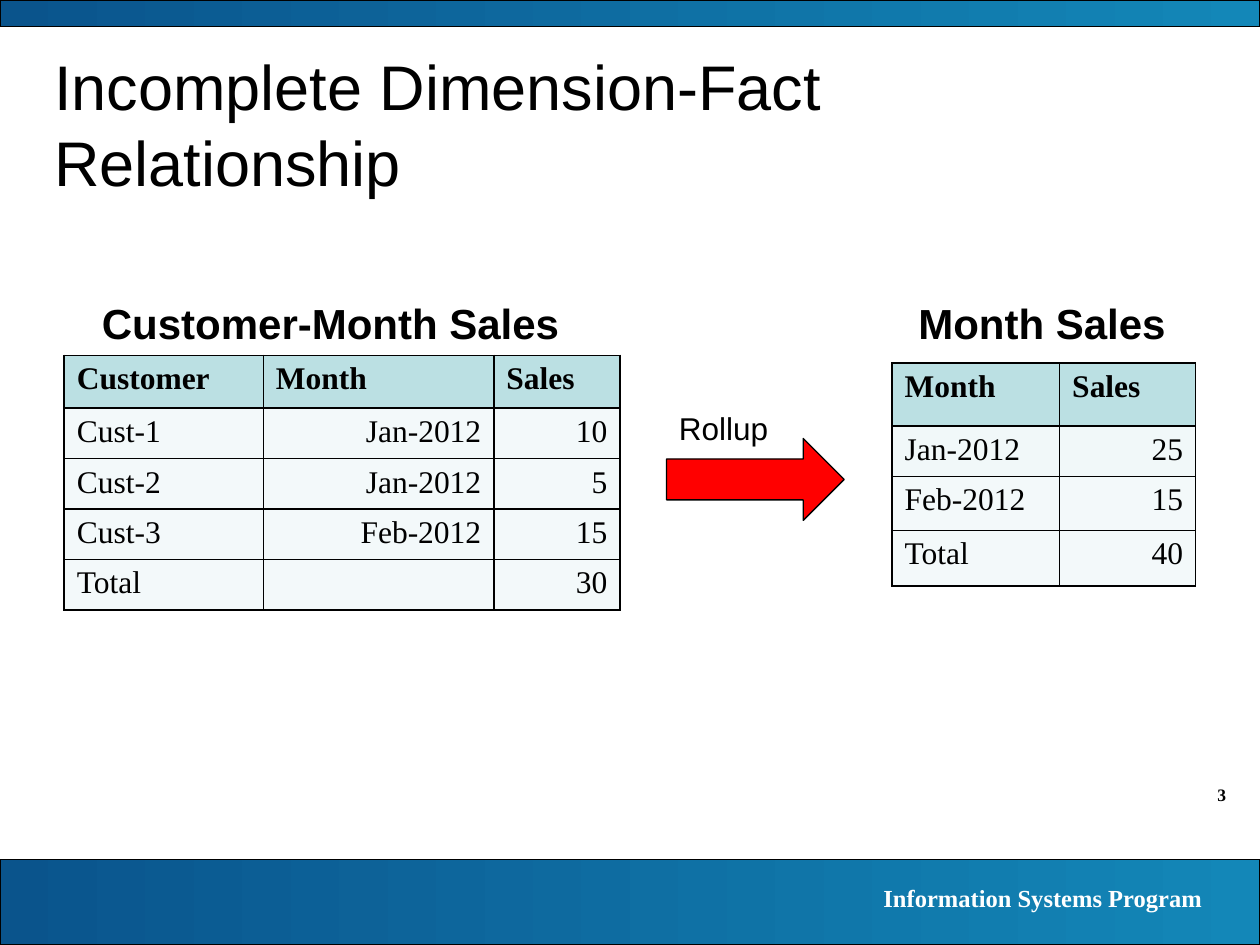
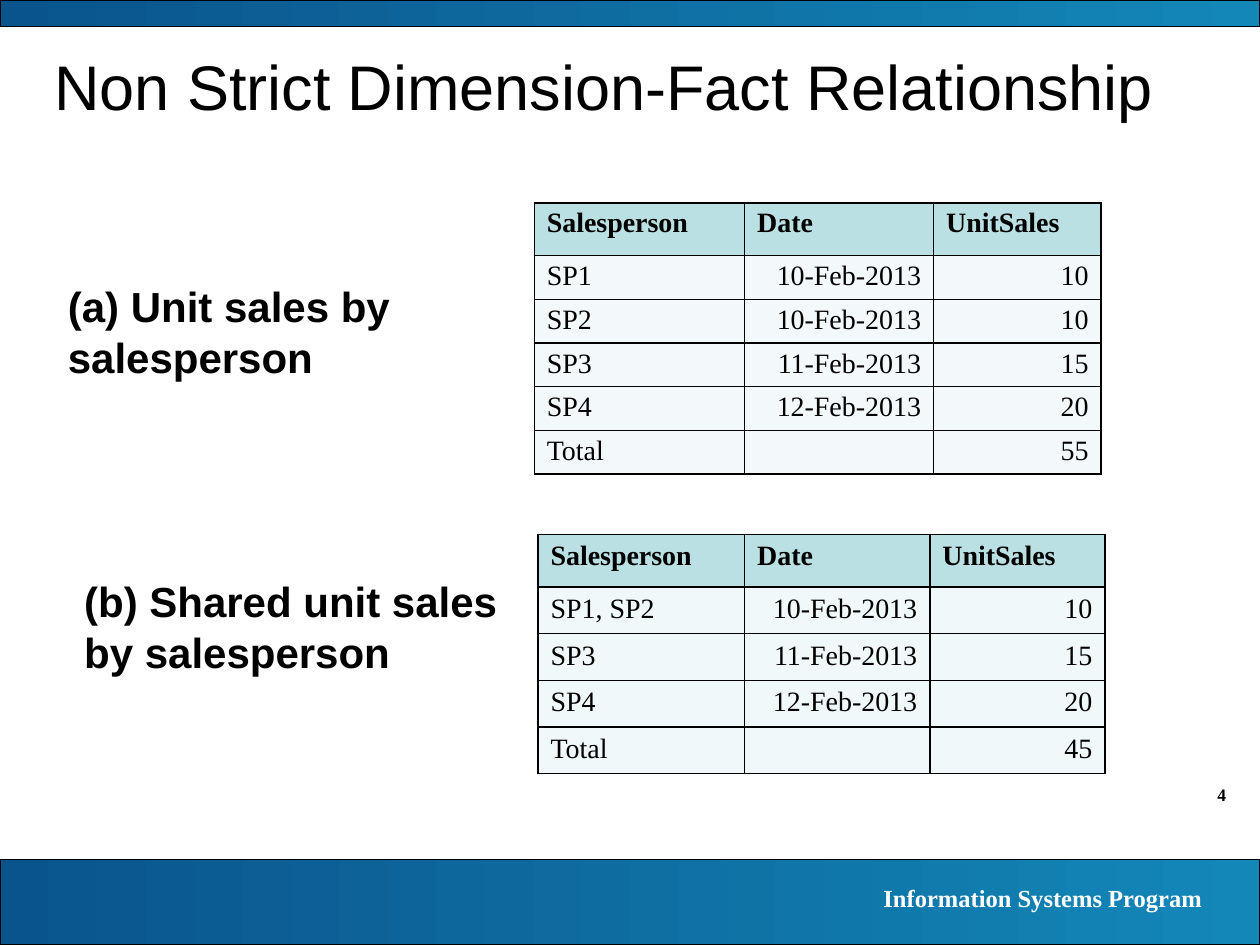
from lxml.etree import SubElement as Sub
from pptx import Presentation
from pptx.dml.color import RGBColor
from pptx.enum.shapes import MSO_SHAPE as Kind
from pptx.enum.text import MSO_ANCHOR as Anchor, MSO_AUTO_SIZE as Fit, PP_ALIGN as Align
from pptx.oxml.ns import qn
from pptx.util import Inches, Pt

SANS, SERIF = "Arial", "Times New Roman"
BLACK, WHITE, RED = "000000", "FFFFFF", "FF0000"
DEEP, LIGHT = "0A548C", "1387B8"
HEAD, PALE, MIST = "BBE0E3", "F3F9FA", "F1F8F9"
BANDS = [(0, 6.82, 10, 0.68), (0, 0, 10, 0.21)]
FOOTER = "Information Systems Program"
FIRST = 3

SLIDES = [
    dict(
        title="Incomplete Dimension-Fact Relationship",
        tables=[
            dict(at=(0.51, 2.82), cols=[1.58, 1.83, 1], rows=[0.42] + [0.4] * 4,
                 size=18, pad=0.05, left=1, fills=[PALE] * 4, data=[
                     ("Customer", "Month", "Sales"),
                     ("Cust-1", "Jan-2012", "10"),
                     ("Cust-2", "Jan-2012", "5"),
                     ("Cust-3", "Feb-2012", "15"),
                     ("Total", "", "30")]),
            dict(at=(7.08, 2.88), cols=[1.33, 1.08], rows=[0.5, 0.4, 0.43, 0.44],
                 size=18, pad=0.05, left=1, fills=[MIST, PALE, PALE], data=[
                     ("Month", "Sales"),
                     ("Jan-2012", "25"),
                     ("Feb-2012", "15"),
                     ("Total", "40")]),
        ],
        arrow=(5.29, 3.48, 1.41, 0.65),
        labels=[
            ("Rollup", (5.29, 3.2, 1.17, 0.4), 18, False),
            ("Customer-Month Sales", (0.71, 2.31, 4.01, 0.5), 24, True),
            ("Month Sales", (7.19, 2.31, 2.2, 0.5), 24, True),
        ],
    ),
    dict(
        title="Non Strict Dimension-Fact Relationship",
        tables=[
            dict(at=(4.24, 1.61), cols=[1.67, 1.5, 1.33], rows=[0.42] + [0.34] * 5,
                 size=16, pad=0.04, left=1, fills=[PALE] * 5, data=[
                     ("Salesperson", "Date", "UnitSales"),
                     ("SP1", "10-Feb-2013", "10"),
                     ("SP2", "10-Feb-2013", "10"),
                     ("SP3", "11-Feb-2013", "15"),
                     ("SP4", "12-Feb-2013", "20"),
                     ("Total", "", "55")]),
            dict(at=(4.27, 4.24), cols=[1.64, 1.47, 1.39], rows=[0.42] + [0.37] * 4,
                 size=16, pad=0.05, left=1, fills=[MIST] * 4, data=[
                     ("Salesperson", "Date", "UnitSales"),
                     ("SP1, SP2", "10-Feb-2013", "10"),
                     ("SP3", "11-Feb-2013", "15"),
                     ("SP4", "12-Feb-2013", "20"),
                     ("Total", "", "45")]),
        ],
        arrow=None,
        labels=[
            ("(a) Unit sales by salesperson", (0.44, 2.18, 2.92, 0.91), 24, True),
            ("(b) Shared unit sales by salesperson", (0.57, 4.52, 3.67, 0.91), 24, True),
        ],
    ),
]


def rgb(code):
    return RGBColor.from_string(code)


def inch(box):
    return [Inches(n) for n in box]


def style(frame, size, face=SANS, bold=False, color=BLACK, align=Align.LEFT):
    para = frame.paragraphs[0]
    para.alignment = align
    font = para.font
    font.name, font.size, font.bold = face, Pt(size), bold
    font.color.rgb = rgb(color)


def add_label(slide, text, box, size, bold, **look):
    frame = slide.shapes.add_textbox(*inch(box)).text_frame
    frame.word_wrap = True
    frame.text = text
    style(frame, size, bold=bold, **look)


def add_block(slide, kind, box):
    shape = slide.shapes.add_shape(kind, *inch(box))
    shape.shadow.inherit = False
    shape.line.color.rgb = rgb(BLACK)
    shape.line.width = Pt(0.75)
    return shape


def add_frame(slide, page):
    right = dict(face=SERIF, align=Align.RIGHT)
    add_label(slide, str(page), (9, 6.17, 0.83, 0.27), 10, True, **right)
    for box in BANDS:
        fill = add_block(slide, Kind.RECTANGLE, box).fill
        fill.gradient()
        fill.gradient_angle = 0
        for stop, spot, code in zip(fill.gradient_stops, (0, 1), (DEEP, LIGHT)):
            stop.position = spot
            stop.color.rgb = rgb(code)
    add_label(slide, FOOTER, (5.55, 6.96, 4.09, 0.34), 14, True, color=WHITE, **right)


def set_title(slide, text):
    title = slide.shapes.title
    title.left, title.top, title.width, title.height = inch((0.33, 0.33, 9.17, 0.75))
    frame = title.text_frame
    frame.text = text
    frame.auto_size = Fit.NONE
    frame.vertical_anchor = Anchor.TOP
    style(frame, 36)


def add_border(cell):
    props = cell._tc.get_or_add_tcPr()
    for i, side in enumerate(("lnL", "lnR", "lnT", "lnB")):
        line = props.makeelement(qn("a:" + side), {"w": str(Pt(1))})
        fill = Sub(line, qn("a:solidFill"))
        Sub(fill, qn("a:srgbClr"), val=BLACK)
        props.insert(i, line)


def add_grid(slide, info):
    cols, rows = info["cols"], info["rows"]
    box = inch((*info["at"], sum(cols), sum(rows)))
    table = slide.shapes.add_table(len(rows), len(cols), *box).table
    table.first_row = table.horz_banding = False
    for col, width in zip(table.columns, cols):
        col.width = Inches(width)
    fills = [HEAD] + info["fills"]
    for r, (row, height) in enumerate(zip(table.rows, rows)):
        row.height = Inches(height)
        for c, cell in enumerate(row.cells):
            text = info["data"][r][c]
            cell.text = text
            cell.margin_top = cell.margin_bottom = Inches(info["pad"] if text else 0)
            cell.fill.solid()
            cell.fill.fore_color.rgb = rgb(fills[r])
            side = Align.RIGHT if r and c >= info["left"] else Align.LEFT
            style(cell.text_frame, info["size"], SERIF, r == 0, align=side)
            add_border(cell)


def main():
    deck = Presentation()
    deck.slide_width, deck.slide_height = inch((10, 7.5))
    for page, info in enumerate(SLIDES, FIRST):
        slide = deck.slides.add_slide(deck.slide_layouts[5])
        add_frame(slide, page)
        set_title(slide, info["title"])
        for grid in info["tables"]:
            add_grid(slide, grid)
        if info["arrow"]:
            arrow = add_block(slide, Kind.RIGHT_ARROW, info["arrow"])
            arrow.fill.solid()
            arrow.fill.fore_color.rgb = rgb(RED)
        for label in info["labels"]:
            add_label(slide, *label)
    deck.save("out.pptx")


if __name__ == "__main__":
    main()
